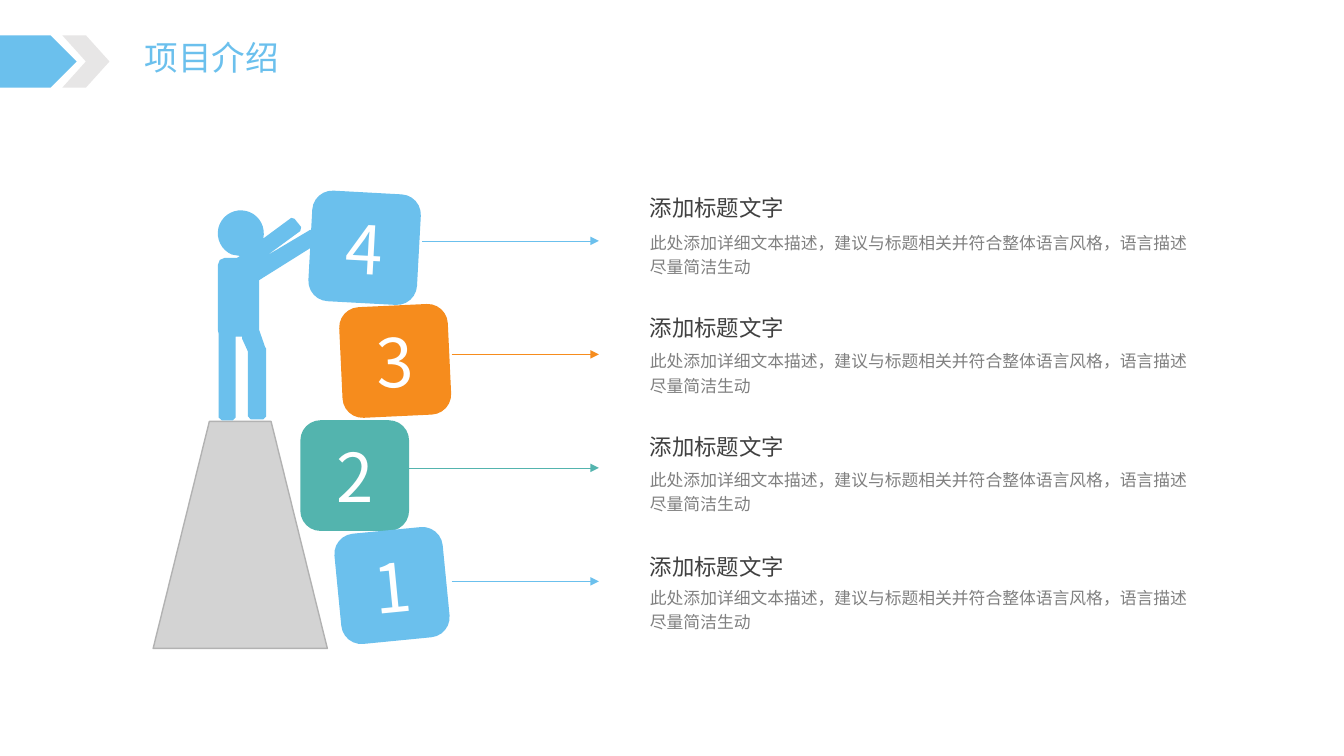
import math

import lxml.etree
import pptx
import pptx.dml.color
import pptx.enum.shapes
import pptx.enum.text
import pptx.oxml.ns
import pptx.util

Cm = pptx.util.Cm
RGBColor = pptx.dml.color.RGBColor
MSO_SHAPE = pptx.enum.shapes.MSO_SHAPE
PP_ALIGN = pptx.enum.text.PP_ALIGN
MSO_ANCHOR = pptx.enum.text.MSO_ANCHOR
qn = pptx.oxml.ns.qn

FONT = "Noto Sans CJK SC"
BLUE = RGBColor(0x6B, 0xC0, 0xED)
ORANGE = RGBColor(0xF6, 0x8C, 0x1D)
TEAL = RGBColor(0x53, 0xB4, 0xAE)
WHITE = RGBColor(0xFF, 0xFF, 0xFF)
PALE_GRAY = RGBColor(0xE7, 0xE6, 0xE6)
LIGHT_GRAY = RGBColor(0xD3, 0xD3, 0xD3)
EDGE_GRAY = RGBColor(0xB2, 0xB2, 0xB2)
BODY_GRAY = RGBColor(0x80, 0x80, 0x80)
HEADING_GRAY = RGBColor(0x40, 0x40, 0x40)


def write_text(shape, text, size, color, align=PP_ALIGN.LEFT, anchor=MSO_ANCHOR.TOP,
               spacing=None, wrap=True, inset_x=0, inset_y=0):
    frame = shape.text_frame
    frame.word_wrap = wrap
    frame.vertical_anchor = anchor
    frame.margin_left = frame.margin_right = Cm(inset_x)
    frame.margin_top = frame.margin_bottom = Cm(inset_y)
    paragraph = frame.paragraphs[0]
    paragraph.alignment = align
    paragraph.line_spacing = spacing
    run = paragraph.add_run()
    run.text = text
    run.font.size = pptx.util.Pt(size)
    run.font.color.rgb = color
    run.font.name = FONT
    east_asian = lxml.etree.SubElement(run._r.get_or_add_rPr(), qn("a:ea"))
    east_asian.set("typeface", FONT)


def paint(shape, fill, adjustment=None):
    shape.shadow.inherit = False
    shape.fill.solid()
    shape.fill.fore_color.rgb = fill
    shape.line.fill.background()
    if adjustment is not None:
        shape.adjustments[0] = adjustment


presentation = pptx.Presentation()
presentation.slide_width = Cm(33.87)
presentation.slide_height = Cm(19.05)
slide = presentation.slides.add_slide(presentation.slide_layouts[6])
shapes = slide.shapes

# Title with its two markers
title = shapes.add_textbox(Cm(3.4), Cm(0.79), Cm(3.94), Cm(1.27))
write_text(title, "项目介绍", 24, BLUE, wrap=False, inset_x=0.25, inset_y=0.13)
for kind, left, width, color in [(MSO_SHAPE.PENTAGON, 0, 1.93, BLUE),
                                 (MSO_SHAPE.CHEVRON, 1.57, 1.19, PALE_GRAY)]:
    marker = shapes.add_shape(kind, Cm(left), Cm(0.89), Cm(width), Cm(1.32))
    paint(marker, color, 0.5)

# Numbered blocks from top to bottom, each with its arrow and text
blocks = [
    # number, color, left, top, rotation, arrow start
    ("4", BLUE, 7.82, 4.85, 3.1, 10.64),
    ("3", ORANGE, 8.59, 7.7, 357.3, 11.38),
    ("2", TEAL, 7.57, 10.59, 0, 10.31),
    ("1", BLUE, 8.51, 13.36, 354.4, 11.38),
]
for row, (number, color, left, top, rotation, arrow_start) in enumerate(blocks):
    block = shapes.add_shape(MSO_SHAPE.ROUNDED_RECTANGLE, Cm(left), Cm(top), Cm(2.74), Cm(2.79))
    paint(block, color, 0.186)
    block.rotation = rotation
    write_text(block, number, 48, WHITE, align=PP_ALIGN.CENTER, anchor=MSO_ANCHOR.MIDDLE,
               inset_x=0.25, inset_y=0.13)

    arrow_y = Cm(6.07 + 2.86 * row)
    arrow = shapes.add_connector(pptx.enum.shapes.MSO_CONNECTOR.STRAIGHT,
                                 Cm(arrow_start), arrow_y, Cm(15.09), arrow_y)
    arrow.line.color.rgb = color
    arrow.line.width = pptx.util.Pt(0.5)
    tail = lxml.etree.SubElement(arrow.line._get_or_add_ln(), qn("a:tailEnd"))
    tail.set("type", "triangle")
    lxml.etree.SubElement(arrow._element.spPr, qn("a:effectLst"))

    heading = shapes.add_textbox(Cm(16.38), Cm(4.5 + 3.01 * row), Cm(8.89), Cm(1.27))
    write_text(heading, "添加标题文字", 16, HEADING_GRAY, anchor=MSO_ANCHOR.MIDDLE, spacing=1.3)
    body = shapes.add_textbox(Cm(16.38), Cm(5.77 + 2.98 * row), Cm(13.61), Cm(1.52))
    write_text(body, "此处添加详细文本描述，建议与标题相关并符合整体语言风格，语言描述尽量简洁生动",
               12, BODY_GRAY, spacing=1.2)

# Pedestal
pedestal = shapes.add_shape(MSO_SHAPE.TRAPEZOID, Cm(3.86), Cm(10.62), Cm(4.39), Cm(5.72))
paint(pedestal, LIGHT_GRAY, 0.323)
pedestal.line.color.rgb = EDGE_GRAY
pedestal.line.width = pptx.util.Pt(1)

# Standing person: round head, then arms, legs and back, clockwise
head = [(6.07 + 0.58 * math.cos(math.radians(angle)), 5.88 + 0.58 * math.sin(math.radians(angle)))
        for angle in range(113, 374, 10)]
arms = [(7.34, 5.49), (7.42, 5.51), (7.59, 5.72), (7.57, 5.82), (6.71, 6.45),
        (7.82, 5.79), (7.92, 5.82), (8.05, 6.05), (8.03, 6.12), (6.53, 7.06)]
legs = [(6.53, 8.31), (6.68, 8.74), (6.71, 8.79), (6.71, 10.49), (6.63, 10.57), (6.32, 10.57),
        (6.25, 10.49), (6.25, 8.86), (6.1, 8.53), (6.1, 8.48), (5.94, 8.48), (5.94, 10.52),
        (5.87, 10.59), (5.59, 10.59), (5.51, 10.52), (5.51, 8.41)]
back = [(5.49, 8.31), (5.49, 6.68), (5.54, 6.55), (5.66, 6.5), (5.97, 6.5), (6.05, 6.45)]
outline = [(Cm(x), Cm(y)) for x, y in head + arms + legs + back]
builder = shapes.build_freeform(*outline[0])
builder.add_line_segments(outline[1:], close=True)
person = builder.convert_to_shape()
paint(person, BLUE)

presentation.save("out.pptx")
